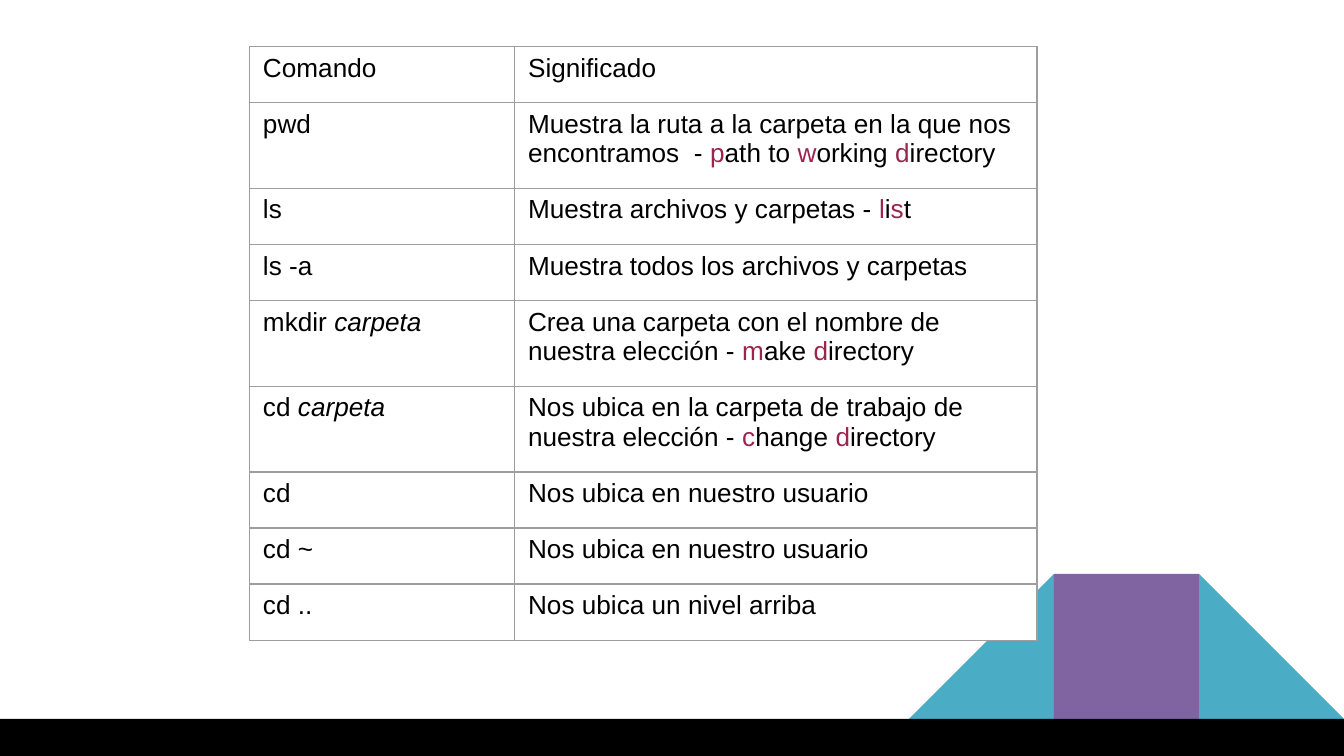
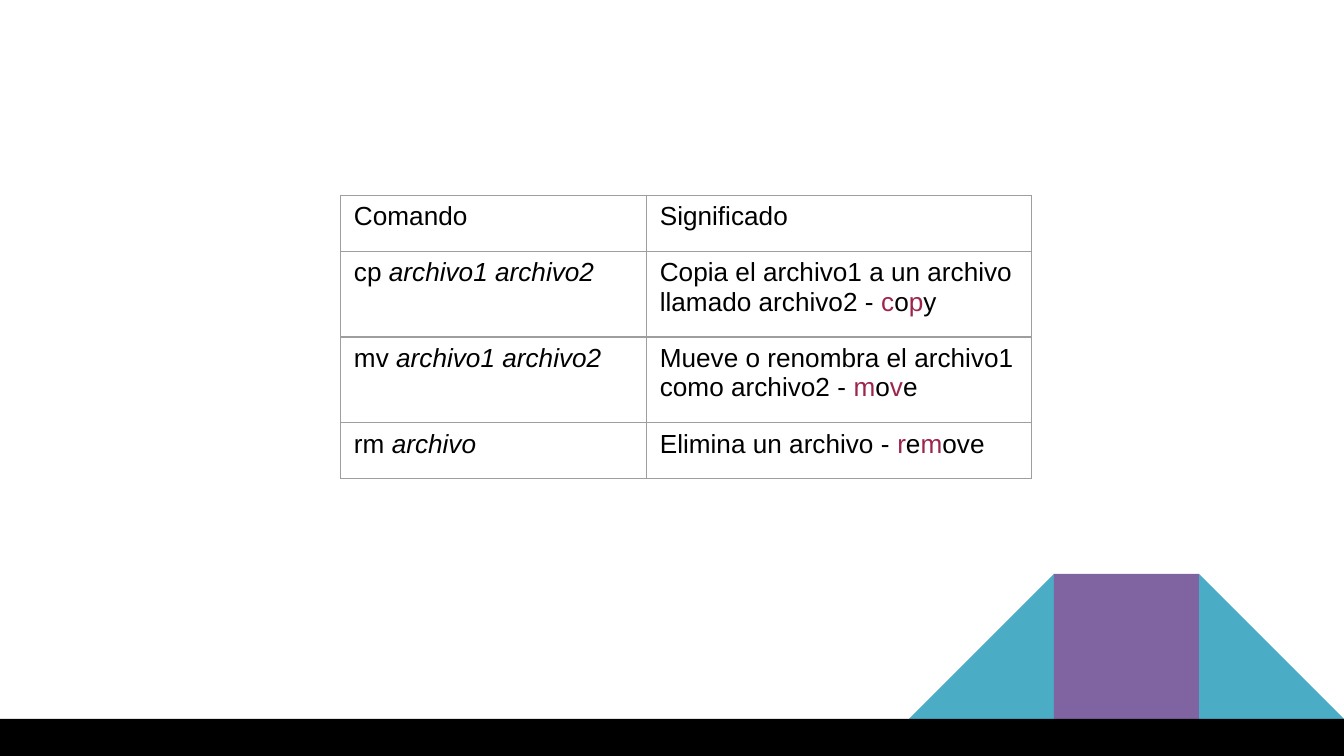
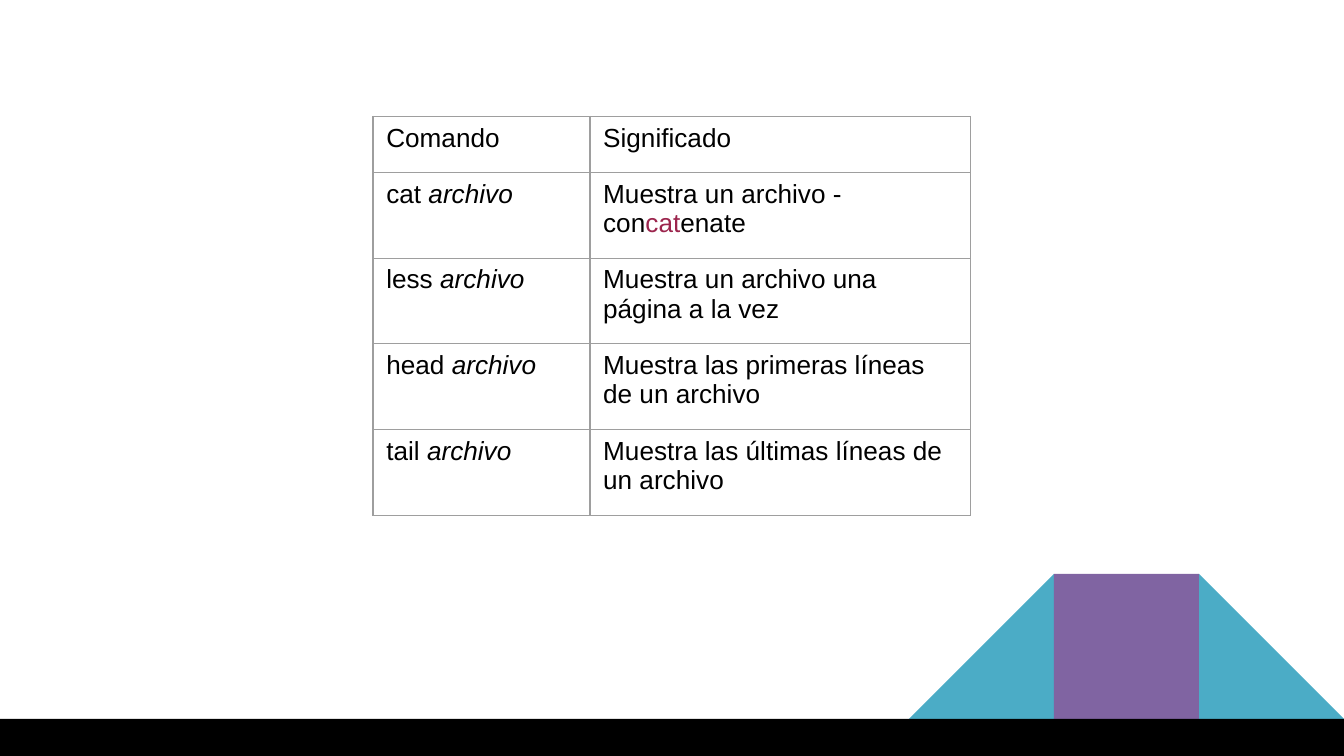
from lxml.etree import SubElement
from pptx import Presentation
from pptx.dml.color import RGBColor
from pptx.enum.shapes import MSO_SHAPE
from pptx.oxml.ns import qn
from pptx.util import Cm, Pt

SLIDE_WIDTH, SLIDE_HEIGHT = 25.4, 14.29
BAND_HEIGHT = 0.7
BLOCK_SIZE = 2.74
ROW_PADDING, LINE_HEIGHT = 0.5, 0.56
BLACK, WHITE = "000000", "FFFFFF"
TEAL, PURPLE = "4BACC6", "8064A2"
ACCENT, GRID = "9C254D", "9E9E9E"
HEADER = ("Comando", "Significado", 1)

# Asterisks enclose arguments in commands and key letters in meanings.
NAVIGATION = [
    ("pwd", "Muestra la ruta a la carpeta en la que nos encontramos  - "
            "*p*ath to *w*orking *d*irectory", 2),
    ("ls", "Muestra archivos y carpetas - *l*i*s*t", 1),
    ("ls -a", "Muestra todos los archivos y carpetas", 1),
    ("mkdir *carpeta*", "Crea una carpeta con el nombre de nuestra elección - "
                        "*m*ake *d*irectory", 2),
    ("cd *carpeta*", "Nos ubica en la carpeta de trabajo de nuestra elección - "
                     "*c*hange *d*irectory", 2),
    ("cd", "Nos ubica en nuestro usuario", 1),
    ("cd ~", "Nos ubica en nuestro usuario", 1),
    ("cd ..", "Nos ubica un nivel arriba", 1),
]
FILE_HANDLING = [
    ("cp *archivo1 archivo2*", "Copia el archivo1 a un archivo llamado archivo2 - *c*o*p*y", 2),
    ("mv *archivo1 archivo2*", "Mueve o renombra el archivo1 como archivo2 - *m*o*v*e", 2),
    ("rm *archivo*", "Elimina un archivo - *r*e*m*ove", 1),
]
FILE_VIEWING = [
    ("cat *archivo*", "Muestra un archivo - con*cat*enate", 2),
    ("less *archivo*", "Muestra un archivo una página a la vez", 2),
    ("head *archivo*", "Muestra las primeras líneas de un archivo", 2),
    ("tail *archivo*", "Muestra las últimas líneas de un archivo", 2),
]


def paint(color_format, color):
    """Apply a hex colour to a colour format."""
    color_format.rgb = RGBColor.from_string(color)


def add_block(slide, kind, left, top, width, height, color):
    """Add a flat shape without outline or shadow."""
    block = slide.shapes.add_shape(kind, Cm(left), Cm(top), Cm(width), Cm(height))
    block.shadow.inherit = False
    block.fill.solid()
    paint(block.fill.fore_color, color)
    block.line.fill.background()
    return block


def add_decoration(slide):
    """Draw the corner trapezoid and the bottom band."""
    band_top = SLIDE_HEIGHT - BAND_HEIGHT
    block_top = band_top - BLOCK_SIZE
    right, left, middle = [
        add_block(slide, kind, SLIDE_WIDTH - steps * BLOCK_SIZE, block_top,
                  BLOCK_SIZE, BLOCK_SIZE, color)
        for kind, steps, color in (
            (MSO_SHAPE.RIGHT_TRIANGLE, 1, TEAL),
            (MSO_SHAPE.RIGHT_TRIANGLE, 3, TEAL),
            (MSO_SHAPE.RECTANGLE, 2, PURPLE),
        )
    ]
    left._element.spPr.find(qn("a:xfrm")).set("flipH", "1")
    add_block(slide, MSO_SHAPE.RECTANGLE, 0, band_top, SLIDE_WIDTH, BAND_HEIGHT, BLACK)


def add_borders(cell):
    """Outline the four sides of a cell."""
    properties = cell._tc.get_or_add_tcPr()
    for side in ("a:lnL", "a:lnR", "a:lnT", "a:lnB"):
        border = SubElement(properties, qn(side), w=str(Pt(0.75)))
        fill = SubElement(border, qn("a:solidFill"))
        SubElement(fill, qn("a:srgbClr"), val=GRID)


def fill_cell(cell, text, is_command):
    """Write marked text, italic in commands and accented in meanings."""
    cell.margin_left = cell.margin_right = Cm(0.25)
    cell.margin_top = cell.margin_bottom = Cm(0.13)
    add_borders(cell)
    cell.fill.solid()
    paint(cell.fill.fore_color, WHITE)
    paragraph = cell.text_frame.paragraphs[0]
    paragraph.font.name = "Arial"
    paragraph.font.size = Pt(14)
    for index, part in enumerate(text.split("*")):
        if not part:
            continue
        run = paragraph.add_run()
        run.text = part
        marked = index % 2 == 1
        paint(run.font.color, ACCENT if marked and not is_command else BLACK)
        if marked and is_command:
            run.font.italic = True


def add_command_table(slide, left, top, widths, commands):
    """Add a table of commands whose row heights follow their line counts."""
    rows = [HEADER, *commands]
    heights = [ROW_PADDING + LINE_HEIGHT * lines for _, _, lines in rows]
    table = slide.shapes.add_table(
        len(rows), len(widths), Cm(left), Cm(top), Cm(sum(widths)), Cm(sum(heights))
    ).table
    table.first_row = table.horz_banding = False
    for column, width in zip(table.columns, widths):
        column.width = Cm(width)
    for row, height, (command, meaning, _) in zip(table.rows, heights, rows):
        row.height = Cm(height)
        fill_cell(row.cells[0], command, True)
        fill_cell(row.cells[1], meaning, False)


def main():
    """Build the three command reference slides."""
    deck = Presentation()
    deck.slide_width, deck.slide_height = Cm(SLIDE_WIDTH), Cm(SLIDE_HEIGHT)
    for left, top, widths, commands in (
        (4.72, 0.88, (5.01, 9.87), NAVIGATION),
        (6.44, 3.69, (5.78, 7.28), FILE_HANDLING),
        (7.05, 2.2, (4.1, 7.19), FILE_VIEWING),
    ):
        slide = deck.slides.add_slide(deck.slide_layouts[6])
        add_decoration(slide)
        add_command_table(slide, left, top, widths, commands)
    deck.save("out.pptx")


if __name__ == "__main__":
    main()
